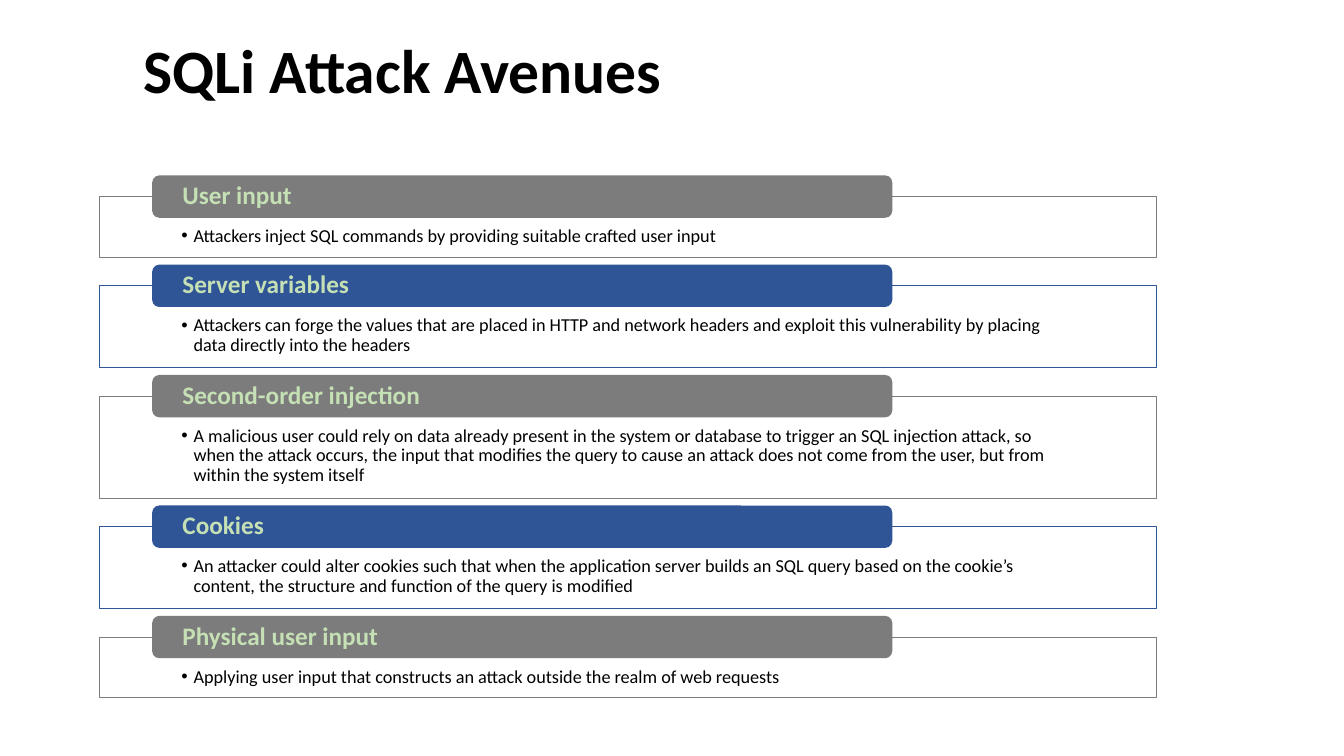
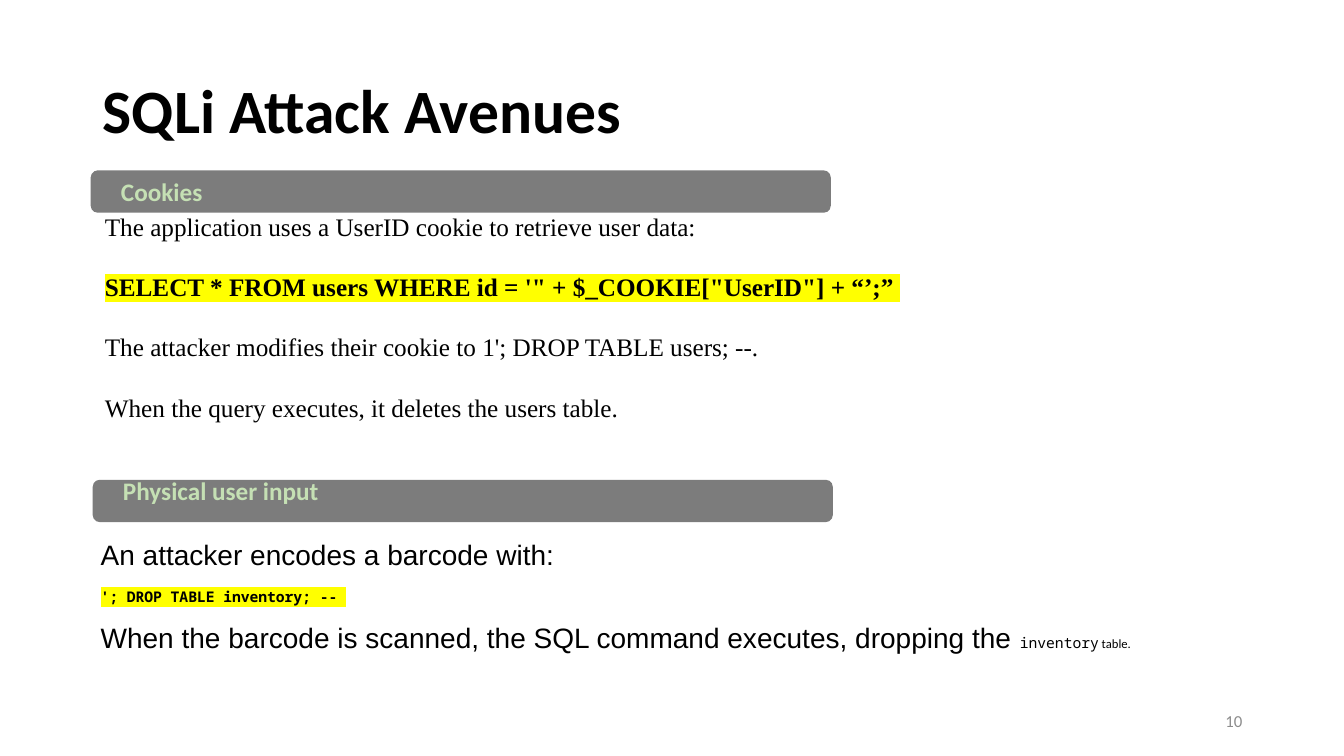
"""Build two slides on the avenues of SQL injection attacks."""
from lxml.etree import SubElement
from pptx import Presentation
from pptx.dml.color import RGBColor
from pptx.enum.shapes import MSO_SHAPE
from pptx.enum.text import MSO_ANCHOR, MSO_AUTO_SIZE, PP_ALIGN
from pptx.oxml.ns import qn
from pptx.util import Inches, Pt

BLACK, WHITE, GREY, BLUE = "000000", "FFFFFF", "7C7C7C", "2F5597"
PALE_GREEN, NUMBER_GREY, YELLOW = "C5E0B4", "8C8C8C", "FFFF00"


def set_font(font, size, name="Calibri", colour=BLACK, bold=False):
    """Set size, typeface, colour and weight of a font."""
    font.size, font.name, font.bold = Pt(size), name, bold
    font.color.rgb = RGBColor.from_string(colour)


def add_band(page, left, top, text, colour, line_spacing=1.0, raise_by=0):
    """Add a rounded heading band with its label, lifted by raise_by inches."""
    band = page.shapes.add_shape(MSO_SHAPE.ROUNDED_RECTANGLE, Inches(left),
                                 Inches(top), Inches(7.34), Inches(0.42))
    band.shadow.inherit = False
    band.fill.solid()
    band.fill.fore_color.rgb = RGBColor.from_string(colour)
    band.line.fill.background()
    label = page.shapes.add_textbox(Inches(left + 0.02), Inches(top + 0.02 - raise_by),
                                    Inches(7.3), Inches(0.38))
    frame = label.text_frame
    frame.word_wrap = True
    frame.vertical_anchor = MSO_ANCHOR.MIDDLE
    frame.margin_left = frame.margin_right = Inches(0.28)
    frame.margin_top = frame.margin_bottom = 0
    para = frame.paragraphs[0]
    para.text = text
    para.line_spacing = line_spacing
    set_font(para.font, 18, colour=PALE_GREEN, bold=True)


deck = Presentation()
deck.slide_width, deck.slide_height = Inches(13.33), Inches(7.5)

for layout, left, top, width, height in [(5, 1.32, 0, 9.85, 1.46),
                                         (1, 0.92, 0.4, 11.5, 1.45)]:
    title = deck.slides.add_slide(deck.slide_layouts[layout]).shapes.title
    title.left, title.top = Inches(left), Inches(top)
    title.width, title.height = Inches(width), Inches(height)
    title.text_frame.auto_size = MSO_AUTO_SIZE.NONE
    title.text_frame.vertical_anchor = MSO_ANCHOR.MIDDLE
    para = title.text_frame.paragraphs[0]
    para.text = "SQLi Attack Avenues"
    para.alignment = PP_ALIGN.LEFT
    para.line_spacing = 0.9
    set_font(para.font, 44, bold=True)

overview, examples = deck.slides

avenues = [
    ("User input", 0.6,
     "Attackers inject SQL commands by providing suitable crafted user input"),
    ("Server variables", 0.81,
     "Attackers can forge the values that are placed in HTTP and network headers "
     "and exploit this vulnerability by placing data directly into the headers"),
    ("Second-order injection", 1.01,
     "A malicious user could rely on data already present in the system or database "
     "to trigger an SQL injection attack, so when the attack occurs, the input that "
     "modifies the query to cause an attack does not come from the user, but from "
     "within the system itself"),
    ("Cookies", 0.81,
     "An attacker could alter cookies such that when the application server builds "
     "an SQL query based on the cookie’s content, the structure and function of the "
     "query is modified"),
    ("Physical user input", 0.6,
     "Applying user input that constructs an attack outside the realm of web requests"),
]
top, bottom = 1.95, 6.92
gap = (bottom - top - sum(height for _, height, _ in avenues)) / (len(avenues) - 1)
for index, (heading, height, description) in enumerate(avenues):
    colour = (GREY, BLUE)[index % 2]
    box = overview.shapes.add_shape(MSO_SHAPE.RECTANGLE, Inches(0.99), Inches(top),
                                    Inches(10.48), Inches(height))
    box.shadow.inherit = False
    box.fill.solid()
    box.fill.fore_color.rgb = RGBColor.from_string(WHITE)
    box.line.color.rgb = RGBColor.from_string(colour)
    box.line.width = Pt(0.5)
    frame = box.text_frame
    frame.vertical_anchor = MSO_ANCHOR.TOP
    frame.margin_left = frame.margin_right = Inches(0.81)
    frame.margin_top, frame.margin_bottom = Inches(0.3), Inches(0.1)
    para = frame.paragraphs[0]
    para.text = description
    properties = para._p.get_or_add_pPr()
    properties.set("marL", str(Inches(0.12)))
    properties.set("indent", str(-Inches(0.12)))
    SubElement(properties, qn("a:buFont"), typeface="Arial")
    SubElement(properties, qn("a:buChar"), char="•")
    para.alignment = PP_ALIGN.LEFT
    para.line_spacing = 0.9
    set_font(para.font, 13)
    add_band(overview, 1.51, top - 0.21, heading, colour, line_spacing=0.9)
    top += height + gap

body = examples.placeholders[1]
body.left, body.top = Inches(0.94), Inches(2.03)
body.width, body.height = Inches(11.5), Inches(2.22)
frame = body.text_frame
frame.auto_size = MSO_AUTO_SIZE.NONE
frame.vertical_anchor = MSO_ANCHOR.MIDDLE
cookie_lines = [
    "The application uses a UserID cookie to retrieve user data:",
    "SELECT * FROM users WHERE id = '\" + $_COOKIE[\"UserID\"] + “’;” ",
    "The attacker modifies their cookie to 1'; DROP TABLE users; --.",
    "When the query executes, it deletes the users table.",
]
frame.text = "\n".join(cookie_lines)
for index, para in enumerate(frame.paragraphs):
    properties = para._p.get_or_add_pPr()
    properties.set("marL", "0")
    properties.set("indent", "0")
    SubElement(properties, qn("a:buNone"))
    para.space_before = Pt(0)
    para.space_after = Pt(21.5 if index < len(cookie_lines) - 1 else 0)
    set_font(para.font, 18, "Times New Roman", bold=index == 1)
query_span = frame.paragraphs[1].runs[0]

add_band(examples, 0.9, 1.69, "Cookies", GREY)
add_band(examples, 0.92, 4.76, "Physical user input", GREY, raise_by=0.1)

barcode_box = examples.shapes.add_textbox(Inches(0.9), Inches(5.28),
                                          Inches(10.86), Inches(1.28))
frame = barcode_box.text_frame
frame.word_wrap = True
frame.text = "An attacker encodes a barcode with:\n'; DROP TABLE inventory; -- "
intro, command = frame.paragraphs
set_font(intro.font, 20, "Arial")
set_font(command.font, 10.5, "Noto Sans Mono", bold=True)
intro.space_after, command.space_after = Pt(12), Pt(11)
outcome = frame.add_paragraph()
for text, size, name in [
    ("When the barcode is scanned, the SQL command executes, dropping the ", 20, "Arial"),
    ("inventory", 10.5, "Noto Sans Mono"),
    (" table.", 9, "Calibri"),
]:
    span = outcome.add_run()
    span.text = text
    set_font(span.font, size, name)

for span in (query_span, command.runs[0]):
    highlight = SubElement(span._r.get_or_add_rPr(), qn("a:highlight"))
    SubElement(highlight, qn("a:srgbClr"), val=YELLOW)

number_box = examples.shapes.add_textbox(Inches(9.42), Inches(6.95), Inches(3), Inches(0.4))
number_box.text_frame.word_wrap = True
number_box.text_frame.vertical_anchor = MSO_ANCHOR.MIDDLE
para = number_box.text_frame.paragraphs[0]
para.text = "10"
para.alignment = PP_ALIGN.RIGHT
set_font(para.font, 12, colour=NUMBER_GREY)

deck.save("out.pptx")
